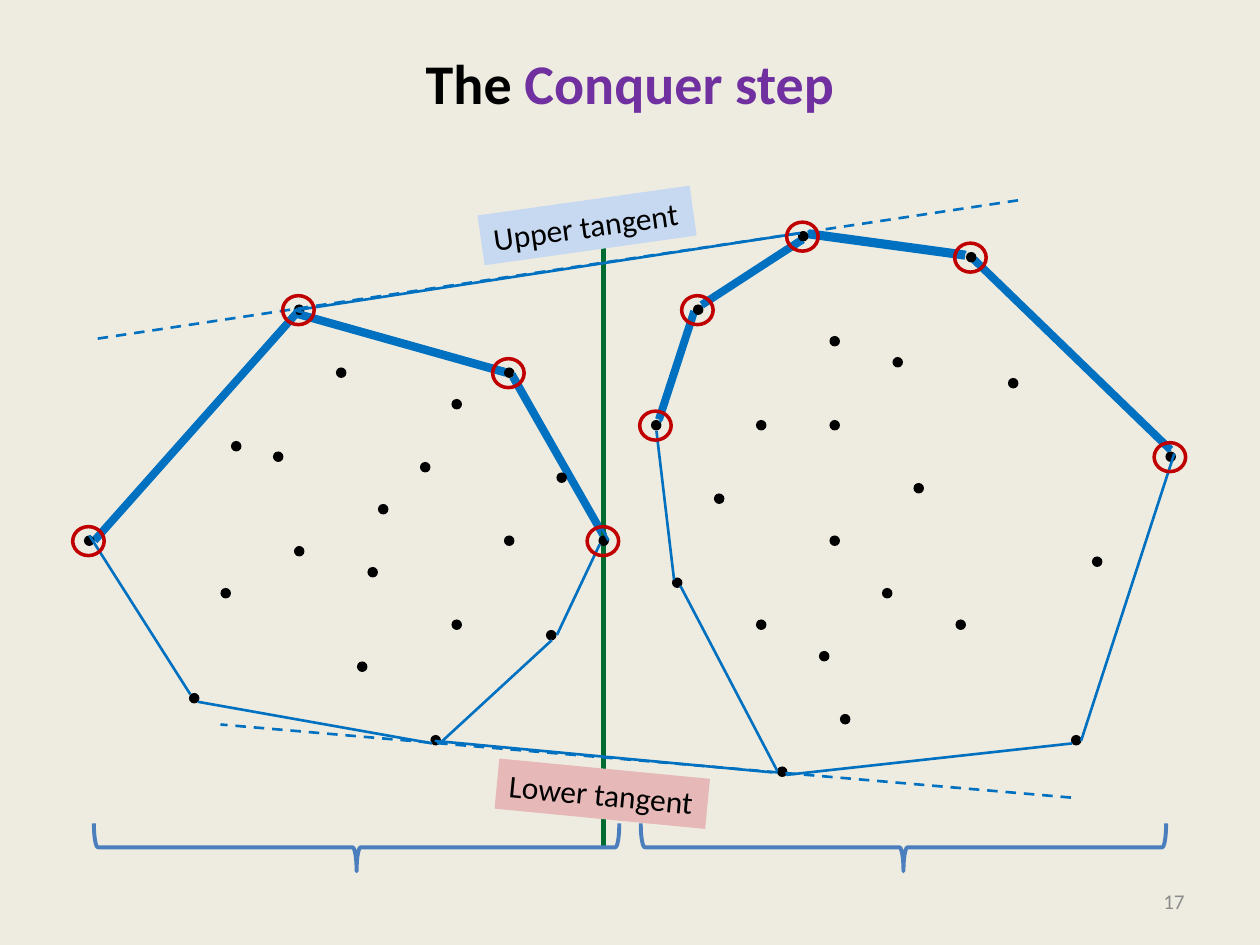
from lxml import etree
from pptx import Presentation
from pptx.dml.color import RGBColor
from pptx.enum.dml import MSO_LINE
from pptx.enum.shapes import MSO_CONNECTOR, MSO_SHAPE
from pptx.enum.text import MSO_ANCHOR, MSO_AUTO_SIZE, PP_ALIGN
from pptx.oxml.ns import qn
from pptx.util import Cm, Pt

OVAL, BRACE = MSO_SHAPE.OVAL, MSO_SHAPE.RIGHT_BRACE
STRAIGHT, DASH = MSO_CONNECTOR.STRAIGHT, MSO_LINE.DASH
LEFT, CENTER, RIGHT = PP_ALIGN.LEFT, PP_ALIGN.CENTER, PP_ALIGN.RIGHT
MIDDLE, GROW = MSO_ANCHOR.MIDDLE, MSO_AUTO_SIZE.SHAPE_TO_FIT_TEXT

FONT = "Calibri"
BLACK, BLUE, GREEN, RED = "000000", "0070C0", "006C31", "C00000"
GRID = 1 / 12  # the points sit on a grid of twelfths of an inch

# Points, in grid steps. The hull vertices visited by the walk are ringed.
INNER = [(43, 38), (48, 51), (87, 46), (21, 56), (43, 59), (79, 51), (80, 68),
         (41, 70), (36, 48), (91, 59), (85, 34), (78, 62), (32, 35), (26, 43),
         (28, 52), (22, 42), (34, 63), (79, 40), (72, 40), (72, 59), (104, 53),
         (96, 36), (84, 56), (35, 54), (40, 44), (79, 32), (53, 45), (68, 47)]
LOWER = [(74, 73), (102, 70), (18, 66), (41, 70), (52, 60), (64, 55)]
RINGED = [(8, 51), (57, 51), (48, 35), (28, 29), (62, 40), (66, 29), (76, 22),
          (92, 24), (111, 43)]

# Lines, in inches: x1, y1, x2, y2
WALKED = [(9.29, 3.57, 7.73, 2.06), (7.66, 2.03, 6.41, 1.86),
          (6.37, 1.9, 5.57, 2.42), (5.51, 2.47, 5.23, 3.33),
          (2.35, 2.49, 0.75, 4.29), (4.02, 2.96, 2.35, 2.49),
          (4.07, 2.99, 4.79, 4.25)]
DIVIDER = [(4.79, 1.78, 4.79, 6.72)]
LEFT_HULL = [(0.71, 4.25, 1.51, 5.51), (3.43, 5.9, 1.57, 5.57),
             (4.38, 5.08, 3.49, 5.9), (2.36, 2.45, 0.77, 4.26),
             (4.01, 2.93, 2.33, 2.46), (4.76, 4.32, 4.42, 5.04),
             (4.08, 2.96, 4.83, 4.29)]
RIGHT_HULL = [(8.51, 5.9, 6.24, 6.15), (9.32, 3.6, 8.58, 5.88),
              (9.29, 3.58, 7.74, 2.07), (7.67, 2, 6.42, 1.83),
              (5.21, 3.42, 5.35, 4.6), (6.38, 1.92, 5.57, 2.43),
              (5.51, 2.49, 5.24, 3.35), (5.4, 4.65, 6.17, 6.12)]
TANGENTS = [(8.08, 1.59, 0.76, 2.69), (8.5, 6.33, 1.75, 5.75)]
BRIDGES = [(6.35, 1.85, 2.36, 2.46), (6.13, 6.13, 3.45, 5.88)]

BRACE_LEFTS = [2.64, 6.98]
LABELS = [("Upper tangent", (3.81, 1.59, 1.7, 0.4), 352, "C6D9F1"),
          ("Lower tangent", (3.94, 6.1, 1.68, 0.4), 5.5, "E6B9B8")]


def rgb(value):
    return RGBColor.from_string(value)


def inch(*values):
    """Inches to Cm lengths."""
    return [Cm(v * 2.54) for v in values]


def add_lines(ends, color, width, dash=None):
    for end in ends:
        line = s.shapes.add_connector(STRAIGHT, *inch(*end))
        line.line.color.rgb = rgb(color)
        line.line.width = Pt(width)
        if dash:
            line.line.dash_style = dash
        etree.SubElement(line._element.spPr, qn("a:effectLst"))


def add_shape(kind, box, fill=None, line=None, width=2.0):
    sp = s.shapes.add_shape(kind, *inch(*box))
    sp.shadow.inherit = False
    if fill:
        sp.fill.solid()
        sp.fill.fore_color.rgb = rgb(fill)
    else:
        sp.fill.background()
    if line:
        sp.line.color.rgb = rgb(line)
        sp.line.width = Pt(width)
    else:
        sp.line.fill.background()
    return sp


def add_text(box, runs, size, align=LEFT, bold=False, wrap=True):
    """Add a one-paragraph text box; runs are (text, color) pairs."""
    sp = s.shapes.add_textbox(*inch(*box))
    tf = sp.text_frame
    tf.word_wrap = wrap
    tf.vertical_anchor = MIDDLE
    p = tf.paragraphs[0]
    p.alignment = align
    for text, color in runs:
        r = p.add_run()
        r.text = text
        r.font.name, r.font.size, r.font.bold = FONT, Pt(size), bold
        r.font.color.rgb = rgb(color)
    return sp


prs = Presentation()
prs.slide_width, prs.slide_height = inch(10, 7.5)
s = prs.slides.add_slide(prs.slide_layouts[6])
s.background.fill.solid()
s.background.fill.fore_color.rgb = rgb("EEECE1")

add_lines(WALKED, BLUE, 4.5)
add_lines(DIVIDER, GREEN, 3)

title = add_text((0.5, 0.3, 9, 1.25),
                 [("The ", BLACK), ("Conquer step", "7030A0")], 32, CENTER, True)
title.text_frame.margin_bottom = Cm(1.5)
add_text((7.17, 6.95, 2.33, 0.4), [("17", "8C8C8C")], 12, RIGHT)

for col, row in dict.fromkeys(INNER + LOWER + RINGED):
    add_shape(OVAL, (col * GRID, row * GRID, GRID, GRID), fill=BLACK)

add_lines(LEFT_HULL + RIGHT_HULL, BLUE, 1.5)
add_lines(TANGENTS, BLUE, 1.5, DASH)
add_lines(BRIDGES, BLUE, 1.5)

for left in BRACE_LEFTS:
    brace = add_shape(BRACE, (left, 4.64, 0.38, 4.17), line="4B7EBC", width=2.25)
    brace.rotation = 90

for col, row in RINGED:
    add_shape(OVAL, (col * GRID - 0.09, row * GRID - 0.07, 0.25, 0.23), line=RED)

for text, box, angle, fill in LABELS:
    label = add_text(box, [(text, BLACK)], 18, wrap=False)
    label.text_frame.auto_size = GROW
    label.rotation = angle
    label.fill.solid()
    label.fill.fore_color.rgb = rgb(fill)

prs.save("out.pptx")
